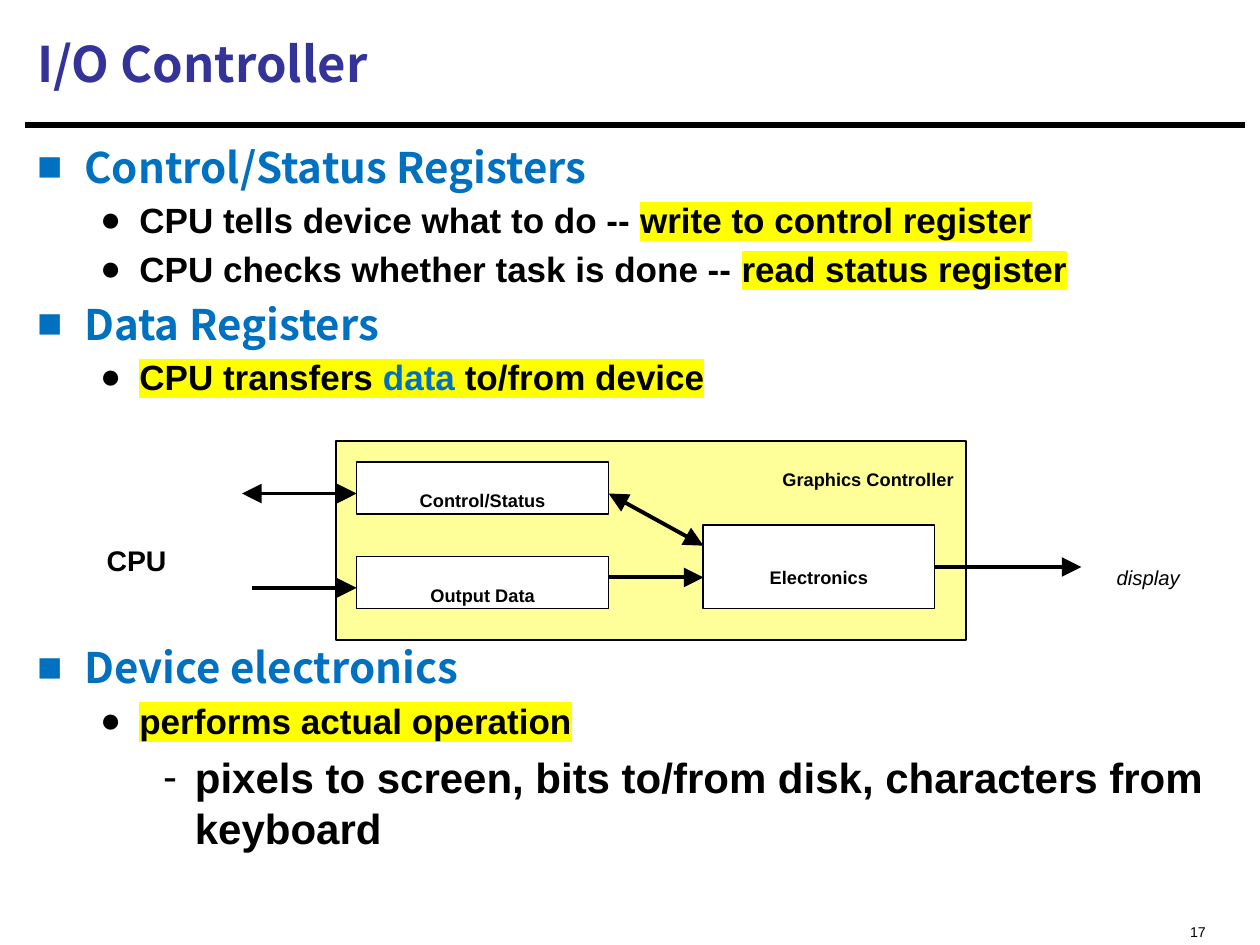
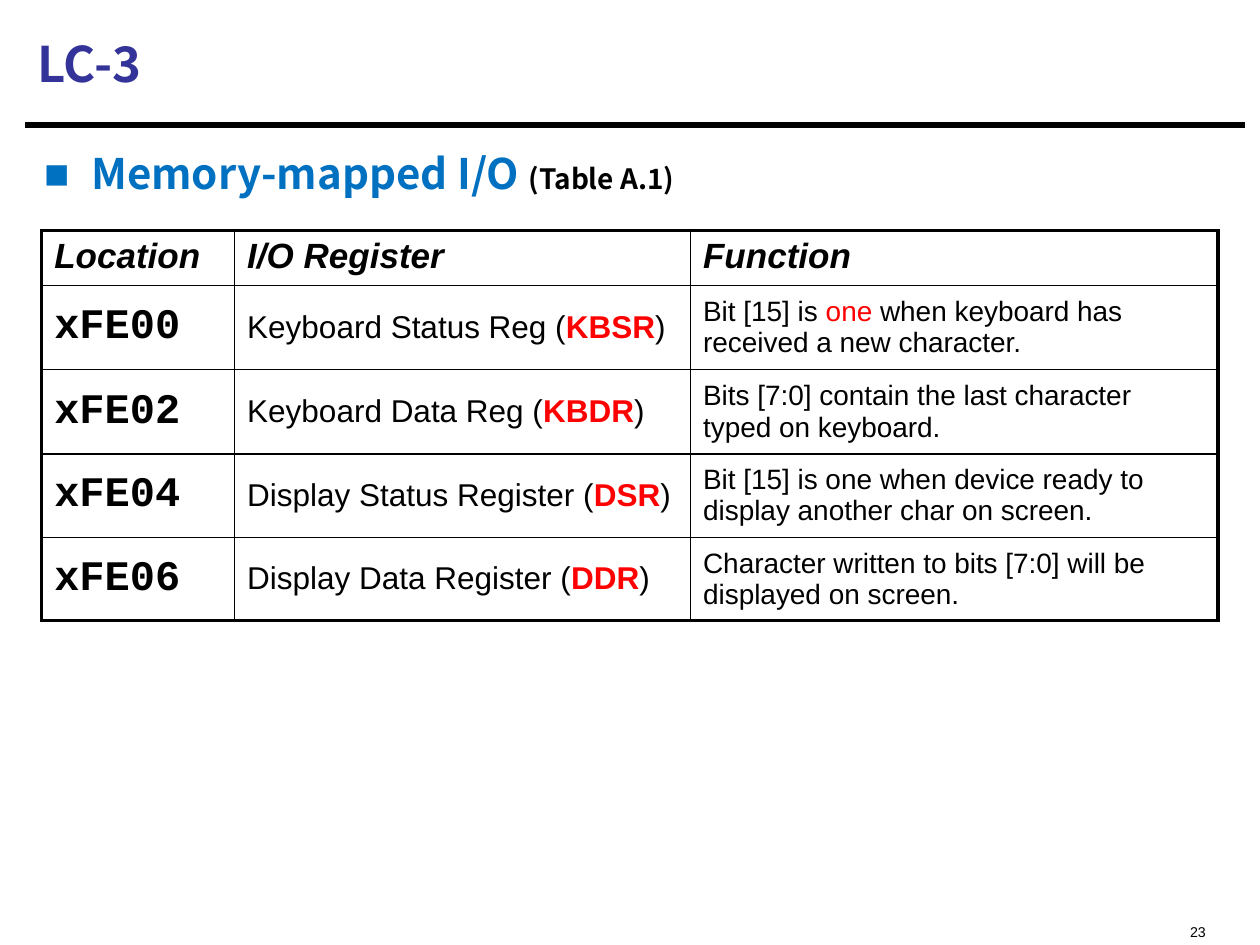
from lxml import etree
from pptx import Presentation
from pptx import util as u
from pptx.dml.color import RGBColor
from pptx.enum import shapes, text
from pptx.oxml.ns import qn

# ---- Shared look ----
COLORS = {
    "black": "000000", "white": "FFFFFF", "title": "333399", "blue": "0070C0",
    "red": "FF0000", "marker": "FFFF00", "panel": "FFFF99",
}
HEADING_FONT, BODY_FONT, CODE_FONT = "Noto Sans CJK SC", "Arial", "Courier New"
LEFT, CENTER, RIGHT = text.PP_ALIGN.LEFT, text.PP_ALIGN.CENTER, text.PP_ALIGN.RIGHT
TOP, MIDDLE = text.MSO_ANCHOR.TOP, text.MSO_ANCHOR.MIDDLE
LOWERED = "-25000"

# Per outline level: bullet, left and hanging indent (cm), space before (pt), font
LEVELS = [
    ("■", 0.95, 0.95, 5, dict(name=HEADING_FONT, size=24, color="blue", bold=True)),
    ("●", 2.06, 0.79, 4, dict(size=20, bold=True)),
    ("-", 3.18, 0.64, 6, dict(size=24, bold=True)),
]

# ---- Content: a span is plain text or (text, changes) ----
MARKED = dict(marker="marker")
REGISTER_OUTLINE = [
    (0, ["Control/Status Registers"]),
    (1, ["CPU tells device what to do -- ", ("write to control register", MARKED)]),
    (1, ["CPU checks whether task is done -- ", ("read status register", MARKED)]),
    (0, ["Data Registers"]),
    (1, [("CPU transfers ", MARKED), ("data", dict(color="blue", marker="marker")),
         (" to/from device", MARKED)]),
    (0, ["Device electronics"]),
    (1, [("performs actual operation", MARKED)]),
    (2, ["pixels to screen, bits to/from disk, characters from keyboard"]),
]
DIAGRAM_GAP = {5: 139.5}  # space before the paragraph below the diagram, pt

CONTROLLER = (6.78, 8.89, 12.7, 4.02)
CONTROL = (7.19, 9.31, 5.08, 1.05)
OUTPUT = (7.19, 11.22, 5.08, 1.05)
ELECTRONICS = (14.18, 10.58, 4.66, 1.69)
BLOCKS = [  # place, fill, label, anchor
    (CONTROLLER, "panel", None, TOP),
    (CONTROL, "white", "Control/Status", TOP),
    (OUTPUT, "white", "Output Data", TOP),
    (ELECTRONICS, "white", "Electronics", MIDDLE),
]
LABELS = [  # place, text, alignment, font
    ((12.5, 8.89, 6.98, 1.02), "Graphics Controller", RIGHT, dict(size=18, bold=True)),
    ((1.9, 10.16, 2.59, 1.45), "CPU", LEFT, dict(size=28, bold=True)),
    ((21.8, 10.8, 2.7, 1.09), "display", CENTER, dict(size=20, italic=True)),
]
CONTROL_Y, OUTPUT_Y, LINK_Y = 9.95, 11.85, 11.64
BUFFER_RIGHT = CONTROL[0] + CONTROL[2]
ELECTRONICS_RIGHT = ELECTRONICS[0] + ELECTRONICS[2]
ARROWS = [  # from, to, two-headed
    ((ELECTRONICS_RIGHT, 11.43), (21.8, 11.43), False),
    ((5.08, OUTPUT_Y), (OUTPUT[0], OUTPUT_Y), False),
    ((4.88, CONTROL_Y), (CONTROL[0], CONTROL_Y), True),
    ((BUFFER_RIGHT, LINK_Y), (ELECTRONICS[0], LINK_Y), False),
    ((BUFFER_RIGHT, CONTROL_Y), (ELECTRONICS[0], 11.0), True),
]

MAP_OUTLINE = [
    (0, ["Memory-mapped I/O ", ("(Table A.1)", dict(size=16, color="black"))]),
]
HEADER = ["Location", "I/O Register", "Function"]
REGISTERS = [  # location, register, short name, function
    ("xFE00", "Keyboard Status Reg", "KBSR",
     ["Bit [15] is ", ("one", dict(color="red")),
      " when keyboard has received a new character."]),
    ("xFE02", "Keyboard Data Reg", "KBDR",
     ["Bits [7:0] contain the last character typed on keyboard."]),
    ("xFE04", "Display Status Register", "DSR",
     ["Bit [15] is one when device ready to display another char on screen."]),
    ("xFE06", "Display Data Register", "DDR",
     ["Character written to bits [7:0] will be displayed on screen."]),
]
HEADER_STYLE = dict(size=20, bold=True, italic=True)
COLUMN_STYLES = [dict(name=CODE_FONT, size=24, bold=True), dict(size=18), dict(size=16)]
COLUMN_WIDTHS = [3.89, 9.19, 10.63]
ROW_HEIGHTS = [1.09, 1.7, 1.7, 1.68, 1.68]


# ---- Helpers ----
def rgb(name):
    return RGBColor.from_string(COLORS[name])


def cm(values):
    return [u.Cm(value) for value in values]


def add_child(parent, tag, **attributes):
    return etree.SubElement(parent, qn(tag), attributes)


def write(para, spans, name=BODY_FONT, size=18, color="black", bold=False,
          italic=False, align=LEFT, lowered=False):
    """Fill a paragraph; a span carries only what differs from its paragraph."""
    para.alignment = align
    font = para.font
    font.name, font.size, font.bold, font.italic = name, u.Pt(size), bold, italic
    font.color.rgb = rgb(color)
    for item in spans:
        words, changes = (item, {}) if isinstance(item, str) else item
        span = para.add_run()
        span.text = words
        if "size" in changes:
            span.font.size = u.Pt(changes["size"])
        if "bold" in changes:
            span.font.bold = changes["bold"]
        if "color" in changes:
            span.font.color.rgb = rgb(changes["color"])
        props = span._r.get_or_add_rPr()
        if "marker" in changes:
            highlight = add_child(props, "a:highlight")
            add_child(highlight, "a:srgbClr", val=COLORS[changes["marker"]])
        if lowered:
            props.set("baseline", LOWERED)


def add_label(slide, place, words, **style):
    box = slide.shapes.add_textbox(*cm(place))
    box.text_frame.word_wrap = True
    write(box.text_frame.paragraphs[0], [words], lowered=True, **style)


def add_line(slide, start, end, width, heads=()):
    line = slide.shapes.add_connector(shapes.MSO_CONNECTOR.STRAIGHT, *cm(start + end))
    line.line.color.rgb = rgb("black")
    line.line.width = u.Pt(width)
    for head in heads:
        add_child(line.line._get_or_add_ln(), head, type="triangle", w="lg", len="lg")
    add_child(line._element.spPr, "a:effectLst")


def add_outline(slide, place, outline, gaps=None, line_spacing=1.0):
    frame = slide.shapes.add_textbox(*cm(place)).text_frame
    frame.word_wrap = True
    for index, (level, spans) in enumerate(outline):
        para = frame.add_paragraph() if index else frame.paragraphs[0]
        mark, indent, hanging, space, style = LEVELS[level]
        para.level = level
        para.line_spacing = line_spacing
        para.space_before = u.Pt((gaps or {}).get(index, space))
        write(para, spans, **style)
        props = para._p.get_or_add_pPr()
        props.set("marL", str(u.Cm(indent)))
        props.set("indent", str(-u.Cm(hanging)))
        font_defaults = props.find(qn("a:defRPr"))
        for tag, attributes in (
            ("a:buFont", dict(typeface=BODY_FONT)),
            ("a:buChar", dict(char=mark)),
        ):
            font_defaults.addprevious(etree.Element(qn(tag), attributes))


def add_slide(deck, heading, number):
    """Title, rule and page number, the same on every slide."""
    slide = deck.slides.add_slide(deck.slide_layouts[5])
    add_line(slide, (0.5, 2.52), (25.1, 2.52), 3.75)
    add_label(slide, (16.94, 18.16, 7.62, 0.69), number, size=14, align=RIGHT)
    title = slide.shapes.title
    title.left, title.top, title.width, title.height = cm((0.5, 0.2, 24.56, 2.13))
    title.text_frame.vertical_anchor = MIDDLE
    write(title.text_frame.paragraphs[0], [heading], name=HEADING_FONT, size=28,
          color="title", bold=True)
    return slide


def add_block(slide, place, fill, label, anchor):
    block = slide.shapes.add_shape(shapes.MSO_SHAPE.RECTANGLE, *cm(place))
    block.shadow.inherit = False
    block.fill.solid()
    block.fill.fore_color.rgb = rgb(fill)
    block.line.color.rgb = rgb("black")
    block.line.width = u.Pt(1)
    if label:
        block.text_frame.word_wrap = True
        block.text_frame.vertical_anchor = anchor
        write(block.text_frame.paragraphs[0], [label], bold=True, align=CENTER,
              lowered=True)


def set_borders(cell, outer_sides):
    """Thick lines on the table's outside edge, thin ones within."""
    props = cell._tc.get_or_add_tcPr()
    for side in "LRTB":
        width = u.Pt(2.25 if side in outer_sides else 1)
        border = add_child(props, "a:ln" + side, w=str(width))
        add_child(add_child(border, "a:solidFill"), "a:srgbClr", val=COLORS["black"])


def add_register_table(slide):
    rows = [[[words] for words in HEADER]]
    for location, register, short, function in REGISTERS:
        name = [register + " (", (short, dict(color="red", bold=True)), ")"]
        rows.append([[location], name, function])
    place = (0.84, 4.65, sum(COLUMN_WIDTHS), sum(ROW_HEIGHTS))
    table = slide.shapes.add_table(len(rows), len(HEADER), *cm(place)).table
    table.first_row = table.horz_banding = False
    for column, width in zip(table.columns, COLUMN_WIDTHS):
        column.width = u.Cm(width)
    for r, (row, height) in enumerate(zip(rows, ROW_HEIGHTS)):
        table.rows[r].height = u.Cm(height)
        for c, spans in enumerate(row):
            cell = table.cell(r, c)
            cell.vertical_anchor = MIDDLE if r else TOP
            write(cell.text_frame.paragraphs[0], spans,
                  **(COLUMN_STYLES[c] if r else HEADER_STYLE))
            on_edge = {"L": c == 0, "R": c == len(row) - 1,
                       "T": r == 0, "B": r == len(rows) - 1}
            set_borders(cell, [side for side in on_edge if on_edge[side]])
            cell.fill.background()


# ---- Slides ----
def build_controller_slide(deck):
    slide = add_slide(deck, "I/O Controller", "17")
    add_outline(slide, (0.5, 2.72, 24.56, 15.2), REGISTER_OUTLINE, DIAGRAM_GAP)
    for block in BLOCKS:
        add_block(slide, *block)
    for start, end, two_headed in ARROWS:
        heads = ("a:headEnd", "a:tailEnd") if two_headed else ("a:tailEnd",)
        add_line(slide, start, end, 2.25, heads)
    for place, words, align, style in LABELS:
        add_label(slide, place, words, align=align, **style)


def build_register_slide(deck):
    slide = add_slide(deck, "LC-3", "23")
    add_outline(slide, (0.64, 2.97, 22.02, 1.6), MAP_OUTLINE, line_spacing=0.9)
    add_register_table(slide)


def main():
    deck = Presentation()
    deck.slide_width, deck.slide_height = u.Cm(25.4), u.Cm(19.05)
    build_controller_slide(deck)
    build_register_slide(deck)
    deck.save("out.pptx")


if __name__ == "__main__":
    main()
